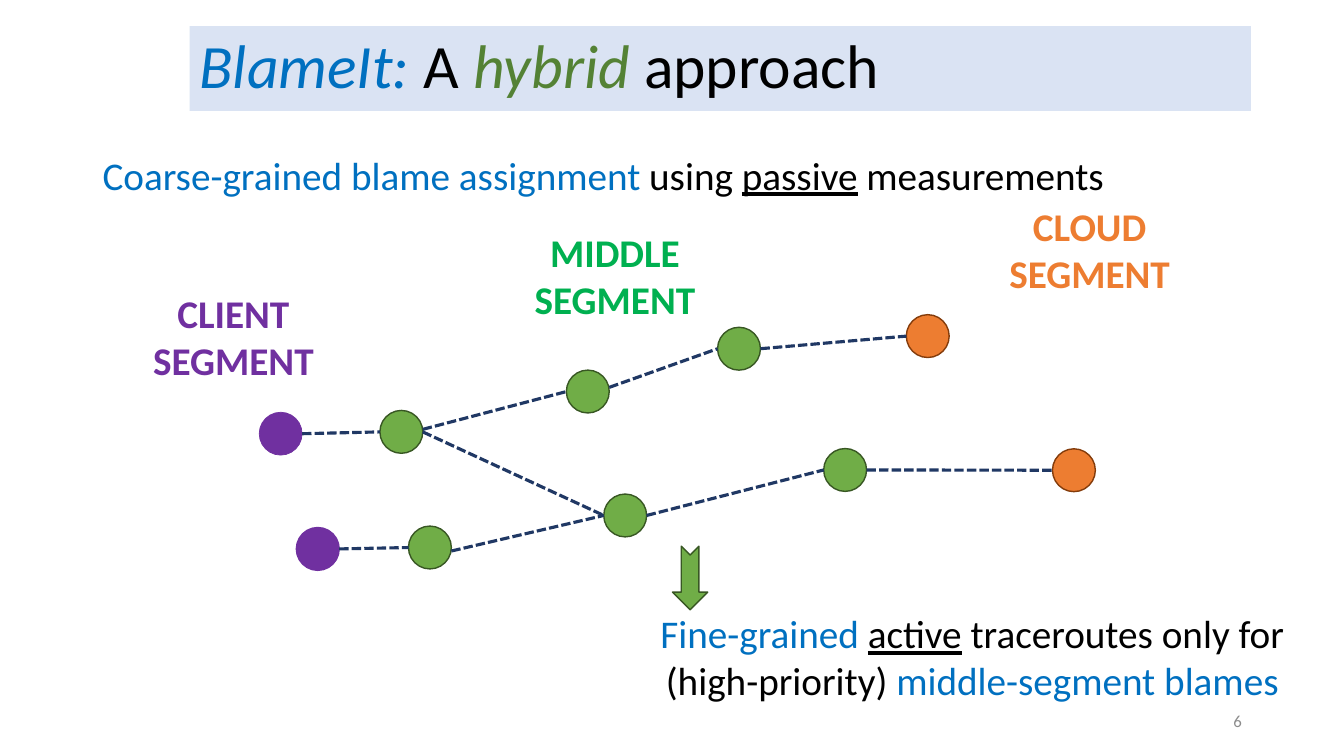
from lxml import etree
from pptx import Presentation
from pptx.dml.color import RGBColor
from pptx.enum.dml import MSO_LINE
from pptx.enum.shapes import MSO_CONNECTOR, MSO_SHAPE
from pptx.enum.text import MSO_ANCHOR, PP_ALIGN
from pptx.oxml.ns import qn
from pptx.util import Pt

RECT, OVAL = MSO_SHAPE.RECTANGLE, MSO_SHAPE.OVAL
ARROW = MSO_SHAPE.NOTCHED_RIGHT_ARROW
LINE, DASH = MSO_CONNECTOR.STRAIGHT, MSO_LINE.SQUARE_DOT
TOP, MID = MSO_ANCHOR.TOP, MSO_ANCHOR.MIDDLE
LEFT, CENTER, RIGHT = PP_ALIGN.LEFT, PP_ALIGN.CENTER, PP_ALIGN.RIGHT

theme = {
    "font": "Calibri", "title": 44, "body": 28, "small": 12,
    "black": "000000", "blue": "0070C0", "olive": "548235",
    "band": "DAE3F3", "gray": "8C8C8C", "navy": "203864",
    "purple": "7030A0", "green": "00B050", "orange": "ED7D31",
    "leaf": "70AD47", "moss": "385723", "rust": "843C0B",
}


def write(shape, runs, size, align=LEFT, anchor=TOP, space=1.0):
    """Fill a shape with runs of (text, colour, style letters)."""
    frame = shape.text_frame
    frame.word_wrap = True
    frame.vertical_anchor = anchor
    para = frame.paragraphs[0]
    para.alignment = align
    para.line_spacing = space
    for text, color, style in runs:
        run = para.add_run()
        run.text = text
        font = run.font
        font.name, font.size = theme["font"], Pt(theme[size])
        font.color.rgb = RGBColor.from_string(theme[color])
        font.bold, font.italic = "b" in style, "i" in style
        font.underline = "u" in style


def draw(kind, box, fill, edge=None, width=1):
    """Add a flat preset shape."""
    shape = slide.shapes.add_shape(kind, *map(Pt, box))
    shape.shadow.inherit = False
    shape.fill.solid()
    shape.fill.fore_color.rgb = RGBColor.from_string(theme[fill])
    if edge:
        shape.line.color.rgb = RGBColor.from_string(theme[edge])
        shape.line.width = Pt(width)
    else:
        shape.line.fill.background()
    return shape


deck = Presentation()
deck.slide_width, deck.slide_height = Pt(960), Pt(540)
slide = deck.slides.add_slide(deck.slide_layouts[6])

# Title band
band = draw(RECT, (135.4, 18.7, 758.2, 60.5), "band")
write(band, [("BlameIt: ", "blue", "i"), ("A ", "black", ""),
             ("hybrid ", "olive", "i"), ("approach", "black", "")],
      "title", LEFT, MID, 0.9)

# Text boxes: place, runs, size, alignment, anchor, line spacing
texts = [
    ((66.2, 108, 828, 40),
     [("Coarse-grained blame assignment ", "blue", ""), ("using ", "black", ""),
      ("passive", "black", "u"), (" measurements", "black", "")],
     "body", LEFT, TOP, 0.9),
    ((100.8, 203, 131.8, 75), [("CLIENT SEGMENT", "purple", "b")],
     "body", CENTER, TOP, 1.0),
    ((369.4, 159.8, 139.7, 75), [("MIDDLE SEGMENT", "green", "b")],
     "body", CENTER, TOP, 1.0),
    ((703.4, 141.1, 149.8, 75), [("CLOUD SEGMENT", "orange", "b")],
     "body", CENTER, TOP, 1.0),
    ((450, 429.1, 488.9, 80),
     [("Fine-grained ", "blue", ""), ("active", "black", "u"),
      (" traceroutes only for (high-priority) ", "black", ""),
      ("middle-segment blames", "blue", "")],
     "body", CENTER, MID, 1.0),
    ((678.2, 500.4, 216, 28.8), [("6", "gray", "")], "small", RIGHT, MID, 1.0),
]
for box, *rest in texts:
    write(slide.shapes.add_textbox(*map(Pt, box)), *rest)

# Network nodes: left, top, fill, edge, edge width
dot = 30.6
nodes = {
    "client a": (185.2, 294.5, "purple", "purple", 0.5),
    "client b": (211.7, 376.8, "purple", "purple", 1),
    "hop a": (271.4, 293.2, "leaf", "moss", 1),
    "hop b": (291.8, 375.8, "leaf", "moss", 1),
    "upper": (404.6, 264.4, "leaf", "moss", 1),
    "lower": (431.3, 352.9, "leaf", "moss", 1),
    "far a": (512.6, 233.8, "leaf", "moss", 1),
    "far b": (588.4, 320.4, "leaf", "moss", 1),
    "cloud a": (647.4, 224.8, "orange", "rust", 1),
    "cloud b": (751.8, 320.6, "orange", "rust", 1),
}
for x, y, *look in nodes.values():
    draw(OVAL, (x, y, dot, dot), *look)

# Links run from right side to left side; the last value shifts the start
links = [
    ("client a", "hop a", 0), ("client b", "hop b", 0),
    ("hop b", "lower", 2.5), ("hop a", "upper", -1.8),
    ("upper", "far a", -3), ("far a", "cloud a", 0),
    ("lower", "far b", 0), ("far b", "cloud b", 0), ("hop a", "lower", 0),
]
for start, end, shift in links:
    x1, y1 = nodes[start][:2]
    x2, y2 = nodes[end][:2]
    link = slide.shapes.add_connector(
        LINE, Pt(x1 + dot), Pt(y1 + dot / 2 + shift), Pt(x2), Pt(y2 + dot / 2))
    link.line.color.rgb = RGBColor.from_string(theme["navy"])
    link.line.width = Pt(2.25)
    link.line.dash_style = DASH
    etree.SubElement(link._element.spPr, qn("a:effectLst"))

# Arrow down to the active step
arrow = draw(ARROW, (470.2, 400.3, 45.4, 25.2), "leaf", "moss")
arrow.rotation = 90

deck.save("out.pptx")
